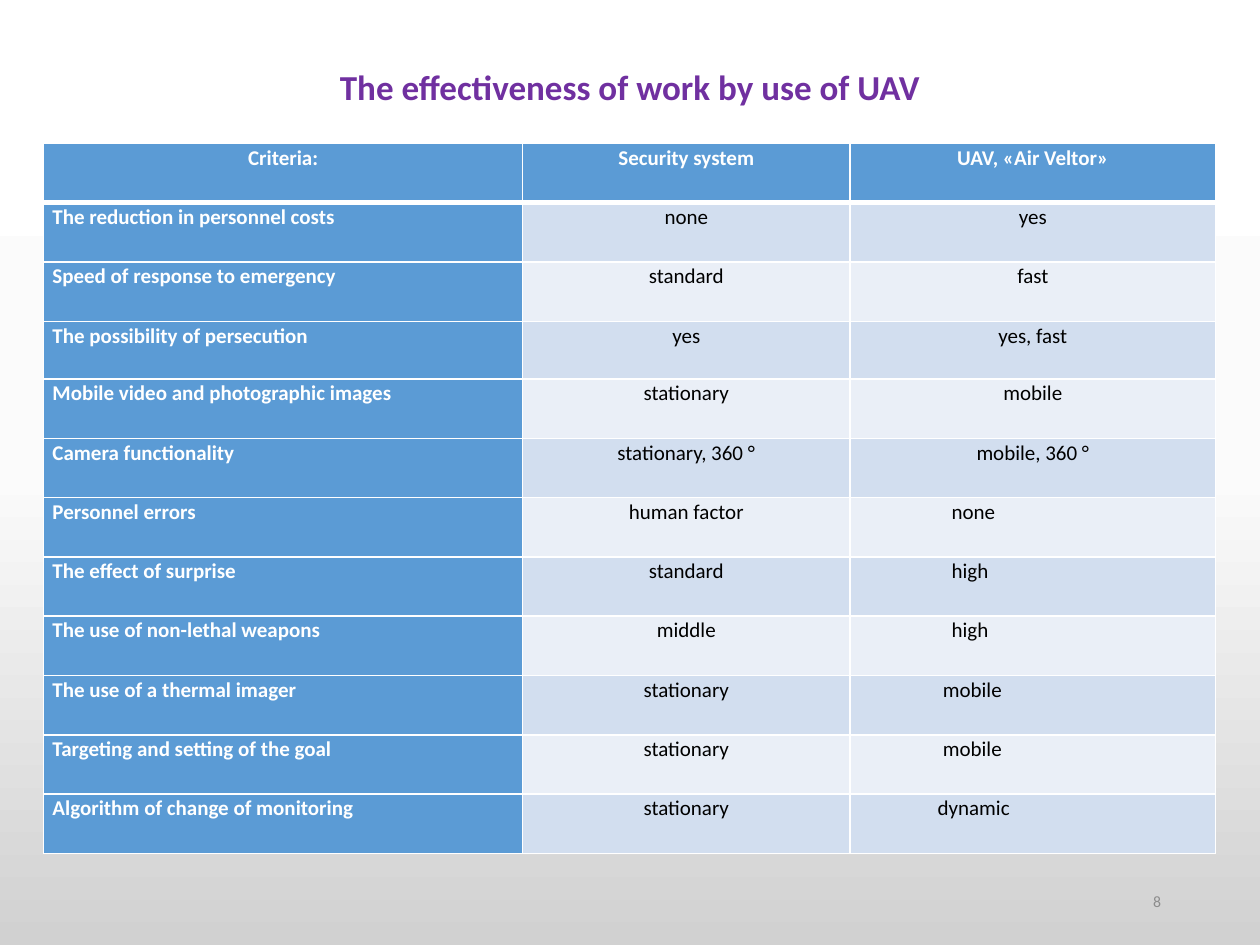
from copy import deepcopy

from pptx import Presentation
from pptx.dml.color import RGBColor
from pptx.enum.text import MSO_ANCHOR as Anchor, PP_ALIGN as Align
from pptx.oxml import parse_xml
from pptx.oxml.ns import nsdecls, qn
from pptx.util import Pt

FONT = "Calibri"
WHITE = RGBColor(0xFF, 0xFF, 0xFF)
BLACK = RGBColor(0x00, 0x00, 0x00)
PURPLE = RGBColor(0x70, 0x30, 0xA0)
GREY = RGBColor(0x8C, 0x8C, 0x8C)
BLUE = RGBColor(0x5B, 0x9B, 0xD5)
BANDS = (RGBColor(0xEA, 0xEF, 0xF7), RGBColor(0xD2, 0xDE, 0xEF))
BACKGROUND = (
    (0, WHITE),
    (0.5, RGBColor(0xFB, 0xFB, 0xFB)),
    (1, RGBColor(0xD1, 0xD1, 0xD1)),
)

COLUMN_WIDTHS = (273.6, 187.2, 208.8)
ROW_HEIGHTS = [33.9] * 3 + [33] + [33.9] * 8
ROWS = (
    ("Criteria:", "Security system", "UAV, «Air Veltor»"),
    ("The reduction in personnel costs", "none", "yes"),
    ("Speed of response to emergency", "standard", "fast"),
    ("The possibility of persecution", "yes", "yes, fast"),
    ("Mobile video and photographic images", "stationary", "mobile"),
    ("Camera functionality", "stationary, 360 °", "mobile, 360 °"),
    ("Personnel errors", "human factor", "none"),
    ("The effect of surprise", "standard", "high"),
    ("The use of non-lethal weapons", "middle", "high"),
    ("The use of a thermal imager", "stationary", "mobile"),
    ("Targeting and setting of the goal", "stationary", "mobile"),
    ("Algorithm of change of monitoring", "stationary", "dynamic"),
)
# Left indents in the last column, from this row to the end
FIRST_INDENTED_ROW = 6
INDENTS = {"none": 53, "high": 53, "mobile": 48, "dynamic": 45}


def set_format(target, values):
    for name, value in values.items():
        setattr(target, name, value)


def write_text(frame, text, size, color, bold=False, **para_format):
    para = frame.paragraphs[0]
    set_format(para, para_format)
    span = para.add_run()
    span.text = text
    set_format(span.font, {"name": FONT, "size": Pt(size), "bold": bold})
    span.font.color.rgb = color
    return para


def paint_background(slide):
    fill = slide.background.fill
    fill.gradient()
    fill.gradient_angle = 270
    stop_list = slide.element.find(".//" + qn("a:gsLst"))
    stop_list.insert(1, deepcopy(stop_list[0]))
    for stop, (position, color) in zip(fill.gradient_stops, BACKGROUND):
        stop.position = position
        stop.color.rgb = color


def add_title(slide, text):
    title = slide.shapes.title
    set_format(title, {"left": Pt(49.7), "top": Pt(28.8),
                       "width": Pt(620.6), "height": Pt(44.6)})
    title.text_frame.vertical_anchor = Anchor.MIDDLE
    write_text(title.text_frame, text, 20, PURPLE, True,
               alignment=Align.CENTER, line_spacing=0.9)


def add_borders(cell, widths):
    """Draw white lines; widths are in the order left, right, top, bottom."""
    properties = cell._tc.get_or_add_tcPr()
    for side, width in zip("LRTB", widths):
        properties.append(parse_xml(
            f'<a:ln{side} {nsdecls("a")} w="{Pt(width)}"><a:solidFill>'
            f'<a:srgbClr val="{WHITE}"/></a:solidFill></a:ln{side}>'))


def fill_cell(cell, text, row, column):
    is_heading = row == 0 or column == 0
    indented = column == 2 and row >= FIRST_INDENTED_ROW
    at_left = indented or (column == 0 and row > 0)
    set_format(cell, {"margin_left": Pt(5), "margin_right": Pt(5),
                      "margin_top": 0, "margin_bottom": 0,
                      "vertical_anchor": Anchor.TOP})
    add_borders(cell, (1, 1, 3 if row == 1 else 1, 3 if row == 0 else 1))
    cell.fill.solid()
    cell.fill.fore_color.rgb = BLUE if is_heading else BANDS[row % 2]
    para = write_text(cell.text_frame, text, 12,
                      WHITE if is_heading else BLACK, is_heading,
                      alignment=Align.LEFT if at_left else Align.CENTER,
                      line_spacing=1.07)
    if indented:
        para._p.get_or_add_pPr().set("marL", str(Pt(INDENTS[text])))


def add_criteria_table(slide):
    frame = slide.shapes.add_table(
        len(ROWS), len(COLUMN_WIDTHS), Pt(25), Pt(82),
        Pt(sum(COLUMN_WIDTHS)), Pt(sum(ROW_HEIGHTS)))
    table = frame.table
    for column, width in zip(table.columns, COLUMN_WIDTHS):
        column.width = Pt(width)
    for row, height in zip(table.rows, ROW_HEIGHTS):
        row.height = Pt(height)
    for row, texts in enumerate(ROWS):
        for column, text in enumerate(texts):
            fill_cell(table.cell(row, column), text, row, column)


def add_page_number(slide, number):
    box = slide.shapes.add_textbox(Pt(508.5), Pt(500.5), Pt(162), Pt(28.8))
    set_format(box.text_frame, {"word_wrap": True,
                                "vertical_anchor": Anchor.MIDDLE})
    write_text(box.text_frame, number, 9, GREY, alignment=Align.RIGHT)


def main():
    deck = Presentation()
    set_format(deck, {"slide_width": Pt(720), "slide_height": Pt(540)})
    slide = deck.slides.add_slide(deck.slide_layouts.get_by_name("Title Only"))
    paint_background(slide)
    add_title(slide, "The effectiveness of work by use of UAV")
    add_criteria_table(slide)
    add_page_number(slide, "8")
    deck.save("out.pptx")


if __name__ == "__main__":
    main()
